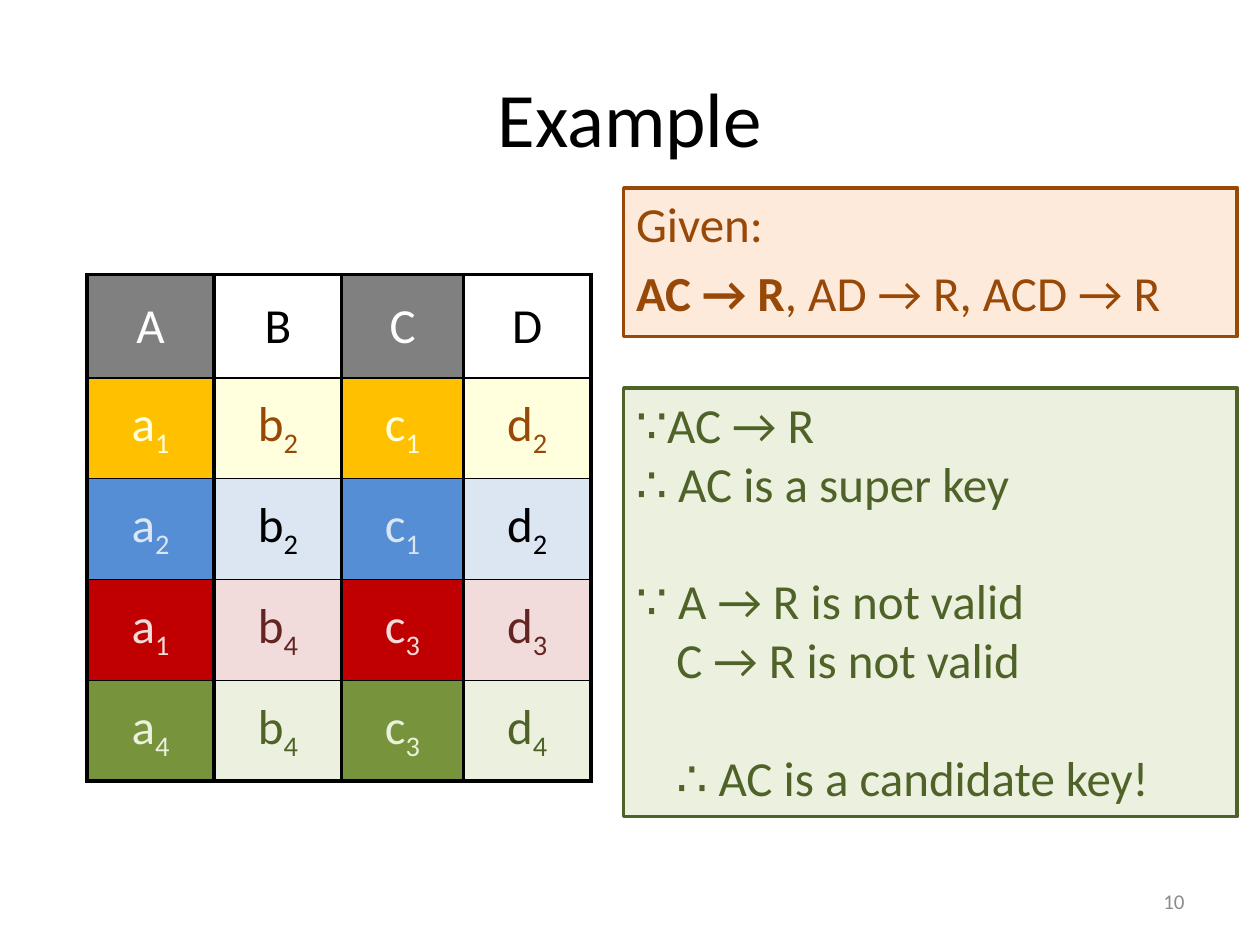
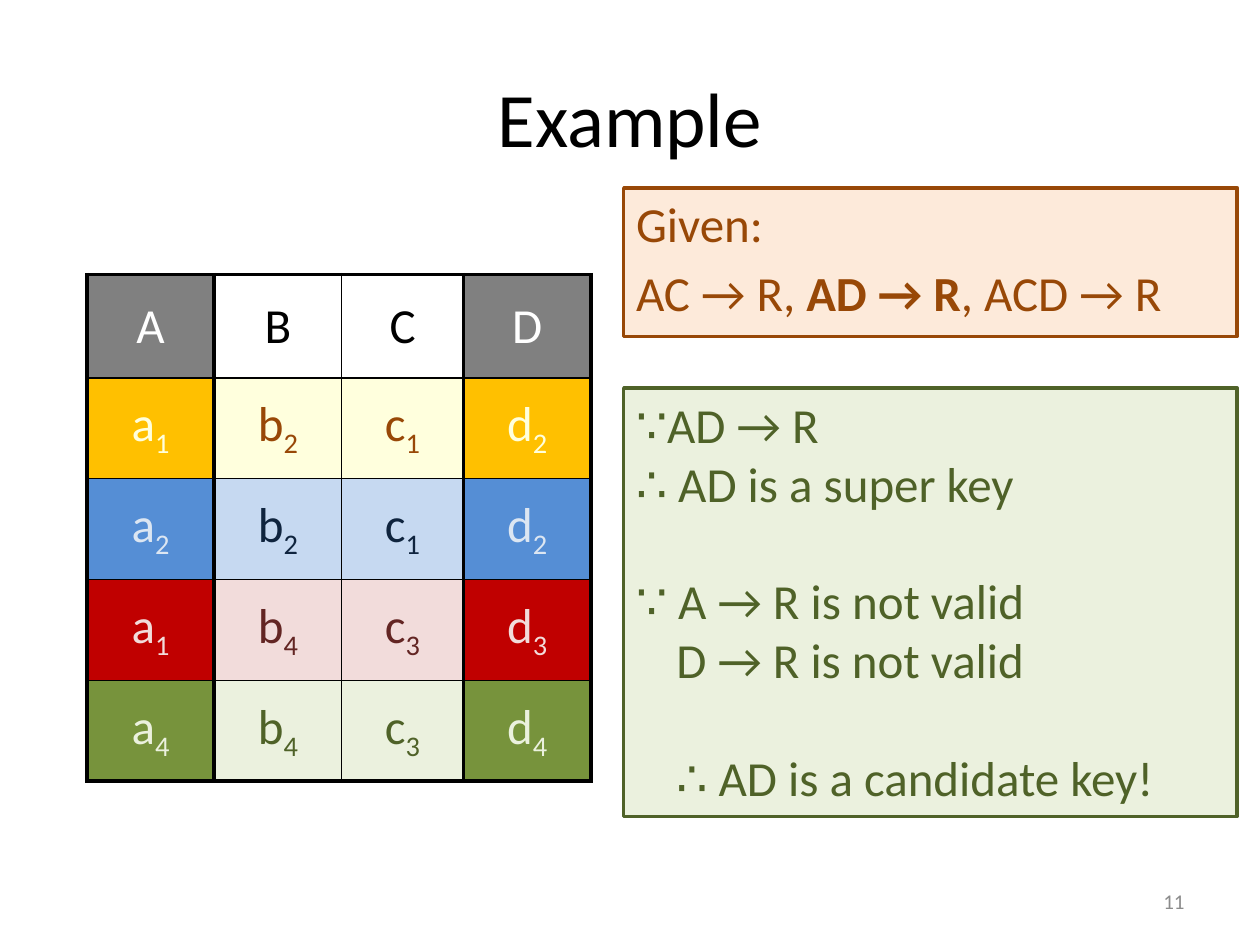
from lxml import etree
from pptx import Presentation
from pptx.dml.color import RGBColor
from pptx.enum import shapes, text
from pptx.oxml import ns
from pptx.util import Inches, Pt

FONT = "Calibri"
BODY_SIZE = 28
LINE_HEIGHT = 33.7
THICK, THIN = 2.25, 1
COLORS = {
    "black": "000000", "white": "FFFFFF", "page": "8C8C8C", "grey": "808080",
    "gold": "FFC000", "cream": "FFFFDD", "brown": "984807", "peach": "FDEADA",
    "blue": "558ED5", "ice": "DCE6F2", "sky": "C6D9F1", "navy": "0F243E",
    "red": "C00000", "pink": "F2DCDB", "maroon": "632523",
    "green": "77933C", "mint": "EBF1DE", "forest": "4F6228",
}
COLUMNS = "ABCD"
COLUMN_WIDTHS = [1.01, 1.01, 0.97, 1.01]
ROW_HEIGHTS = [0.82, 0.8, 0.8, 0.8, 0.8]
TUPLES = ["a1 b2 c1 d2", "a2 b2 c1 d2", "a1 b4 c3 d3", "a4 b4 c3 d4"]
DEPENDENCIES = ["AC", "AD", "ACD"]


def rgb(name):
    return RGBColor.from_string(COLORS[name])


def add_run(p, words, size, color, bold=False, subscript=False):
    r = p.add_run()
    r.text = words
    r.font.name = FONT
    r.font.size = Pt(size)
    r.font.bold = bold
    r.font.color.rgb = rgb(color)
    if subscript:
        r._r.get_or_add_rPr().set("baseline", "-25000")


def add_label(slide, box, words, size, color, align):
    tf = slide.shapes.add_textbox(*map(Inches, box)).text_frame
    tf.word_wrap = True
    tf.vertical_anchor = text.MSO_ANCHOR.MIDDLE
    p = tf.paragraphs[0]
    p.alignment = align
    add_run(p, words, size, color)


def add_panel(slide, top, height, fill, color):
    box = map(Inches, (4.95, top, 4.87, height))
    sp = slide.shapes.add_shape(shapes.MSO_SHAPE.RECTANGLE, *box)
    sp.shadow.inherit = False
    sp.fill.solid()
    sp.fill.fore_color.rgb = rgb(fill)
    sp.line.color.rgb = rgb(color)
    sp.line.width = Pt(2)
    tf = sp.text_frame
    tf.word_wrap = True
    tf.vertical_anchor = text.MSO_ANCHOR.TOP
    return tf


def add_line(tf, runs, color, before=0, indent=0):
    p = tf.paragraphs[0] if not tf.paragraphs[0].runs else tf.add_paragraph()
    if indent:
        p._p.get_or_add_pPr().set("marL", str(Inches(indent)))
    p.alignment = text.PP_ALIGN.LEFT
    p.space_before = Pt(before)
    for words, bold in runs:
        add_run(p, words, BODY_SIZE, color, bold)


def add_given(slide, key):
    tf = add_panel(slide, 1.49, 1.18, "peach", "brown")
    add_line(tf, [("Given:", False)], "brown")
    runs = []
    for i, left_side in enumerate(DEPENDENCIES):
        if i:
            runs.append((", ", False))
        runs.append((f"{left_side} → R", left_side == key))
    add_line(tf, runs, "brown", before=BODY_SIZE * 0.2)


def add_proof(slide, key):
    tf = add_panel(slide, 3.08, 3.4, "mint", "forest")
    first, second = key
    for words, before, indent in [
        (f"∵{key} → R", 0, 0),
        (f"∴ {key} is a super key", 0, 0),
        (f"∵ {first} → R is not valid", LINE_HEIGHT, 0),
        (f"{second} → R is not valid", 0, 0.32),
        (f"∴ {key} is a candidate key!", LINE_HEIGHT, 0.32),
    ]:
        add_line(tf, [(words, False)], "forest", before, indent)


def set_borders(cell, widths):
    tcPr = cell._tc.get_or_add_tcPr()
    for i, (side, width) in enumerate(zip("LRTB", widths)):
        ln = etree.Element(ns.qn(f"a:ln{side}"), w=str(Pt(width)))
        fill = etree.SubElement(ln, ns.qn("a:solidFill"))
        etree.SubElement(fill, ns.qn("a:srgbClr"), val=COLORS["black"])
        tcPr.insert(i, ln)


def fill_cell(cell, words, fill, color):
    if fill:
        cell.fill.solid()
        cell.fill.fore_color.rgb = rgb(fill)
    else:
        cell.fill.background()
    cell.vertical_anchor = text.MSO_ANCHOR.MIDDLE
    p = cell.text_frame.paragraphs[0]
    p.alignment = text.PP_ALIGN.CENTER
    add_run(p, words[0], BODY_SIZE, color)
    if words[1:]:
        add_run(p, words[1:], BODY_SIZE, color, subscript=True)


def add_relation(slide, key, blue_plain):
    row_styles = [
        (("grey", "white"), (None, "black")),
        (("gold", "cream"), ("cream", "brown")),
        (("blue", "ice"), blue_plain),
        (("red", "pink"), ("pink", "maroon")),
        (("green", "mint"), ("mint", "forest")),
    ]
    rows = [list(COLUMNS)] + [line.split() for line in TUPLES]
    box = map(Inches, (0.69, 2.18, sum(COLUMN_WIDTHS), sum(ROW_HEIGHTS)))
    table = slide.shapes.add_table(len(rows), len(COLUMNS), *box).table
    table.first_row = table.horz_banding = False
    for column, width in zip(table.columns, COLUMN_WIDTHS):
        column.width = Inches(width)
    for row, height in zip(table.rows, ROW_HEIGHTS):
        row.height = Inches(height)

    is_key = [name in key for name in COLUMNS]
    inner = [THICK if a or b else THIN for a, b in zip(is_key, is_key[1:])]
    vertical = [THICK, *inner, THICK]
    horizontal = [THICK] + [THIN] * (len(rows) - 1) + [THICK]
    for i, (names, (marked, plain)) in enumerate(zip(rows, row_styles)):
        for j, name in enumerate(names):
            cell = table.cell(i, j)
            fill_cell(cell, name, *(marked if is_key[j] else plain))
            set_borders(cell, vertical[j:j + 2] + horizontal[i:i + 2])


def add_example(prs, number, key, blue_plain):
    slide = prs.slides.add_slide(prs.slide_layouts[6])
    add_label(slide, (0.5, 0.3, 9, 1.25), "Example", 44, "black",
              text.PP_ALIGN.CENTER)
    add_label(slide, (7.17, 6.95, 2.33, 0.4), str(number), 12, "page",
              text.PP_ALIGN.RIGHT)
    add_relation(slide, key, blue_plain)
    add_given(slide, key)
    add_proof(slide, key)


def main():
    prs = Presentation()
    prs.slide_width = Inches(10)
    prs.slide_height = Inches(7.5)
    add_example(prs, 10, "AC", ("ice", "black"))
    add_example(prs, 11, "AD", ("sky", "navy"))
    prs.save("out.pptx")


if __name__ == "__main__":
    main()
